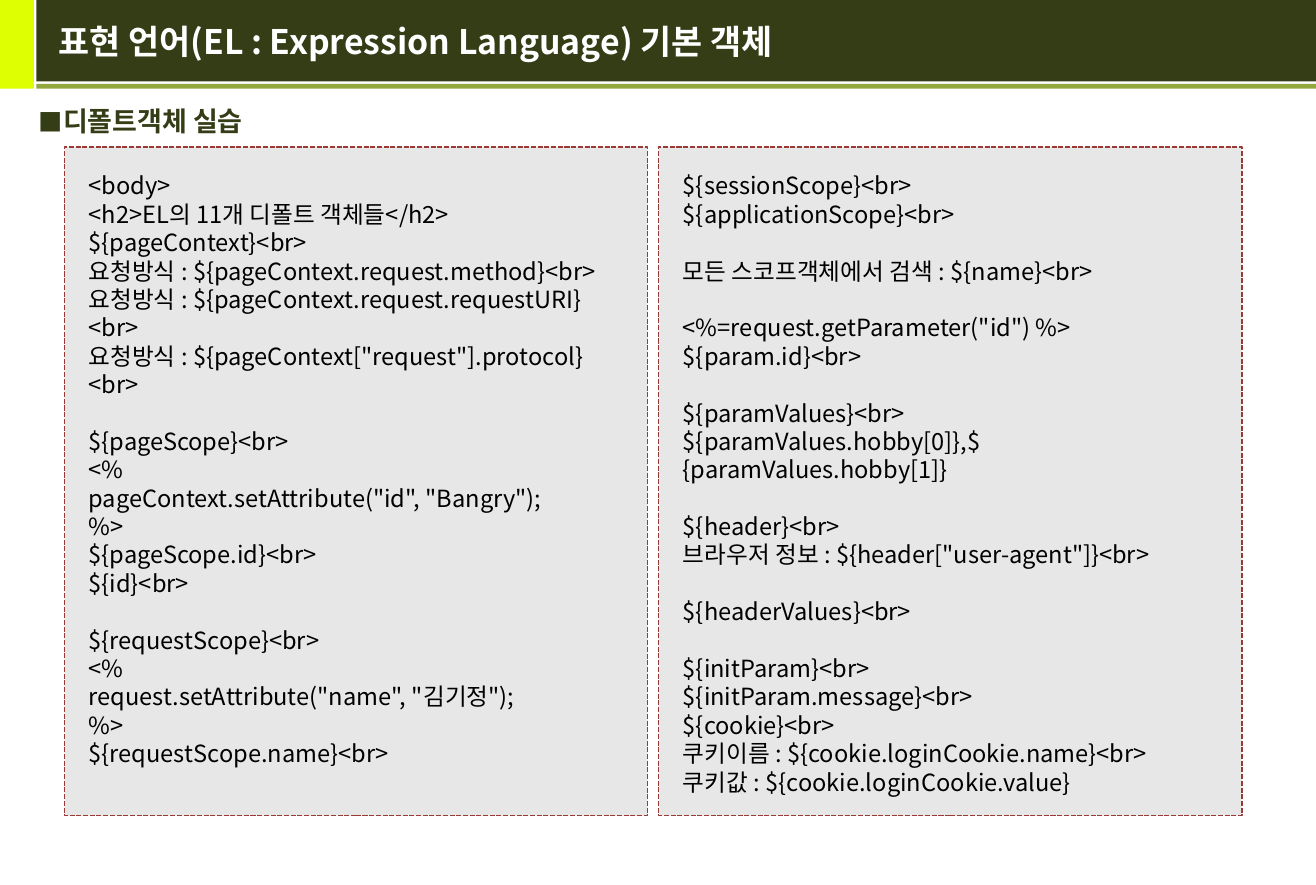
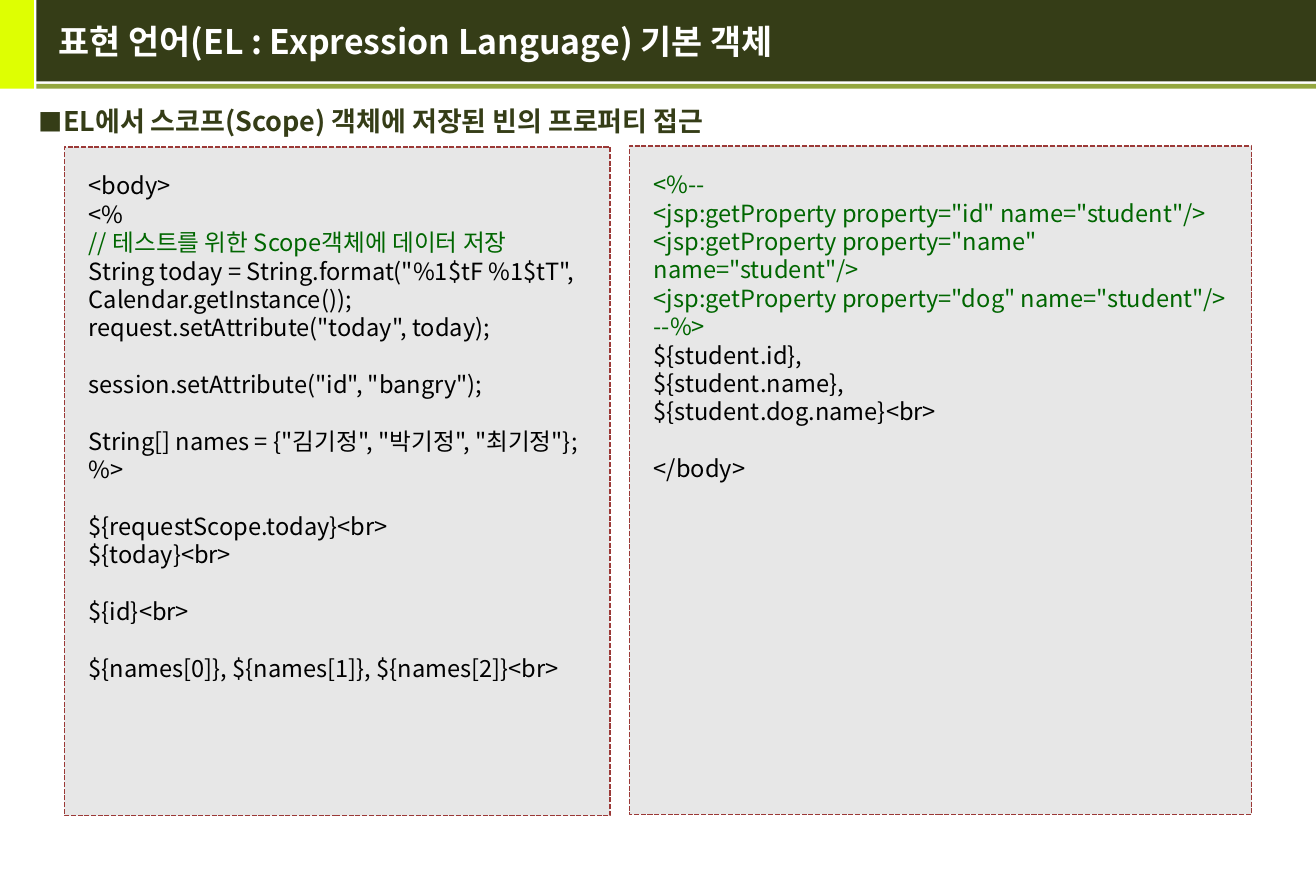
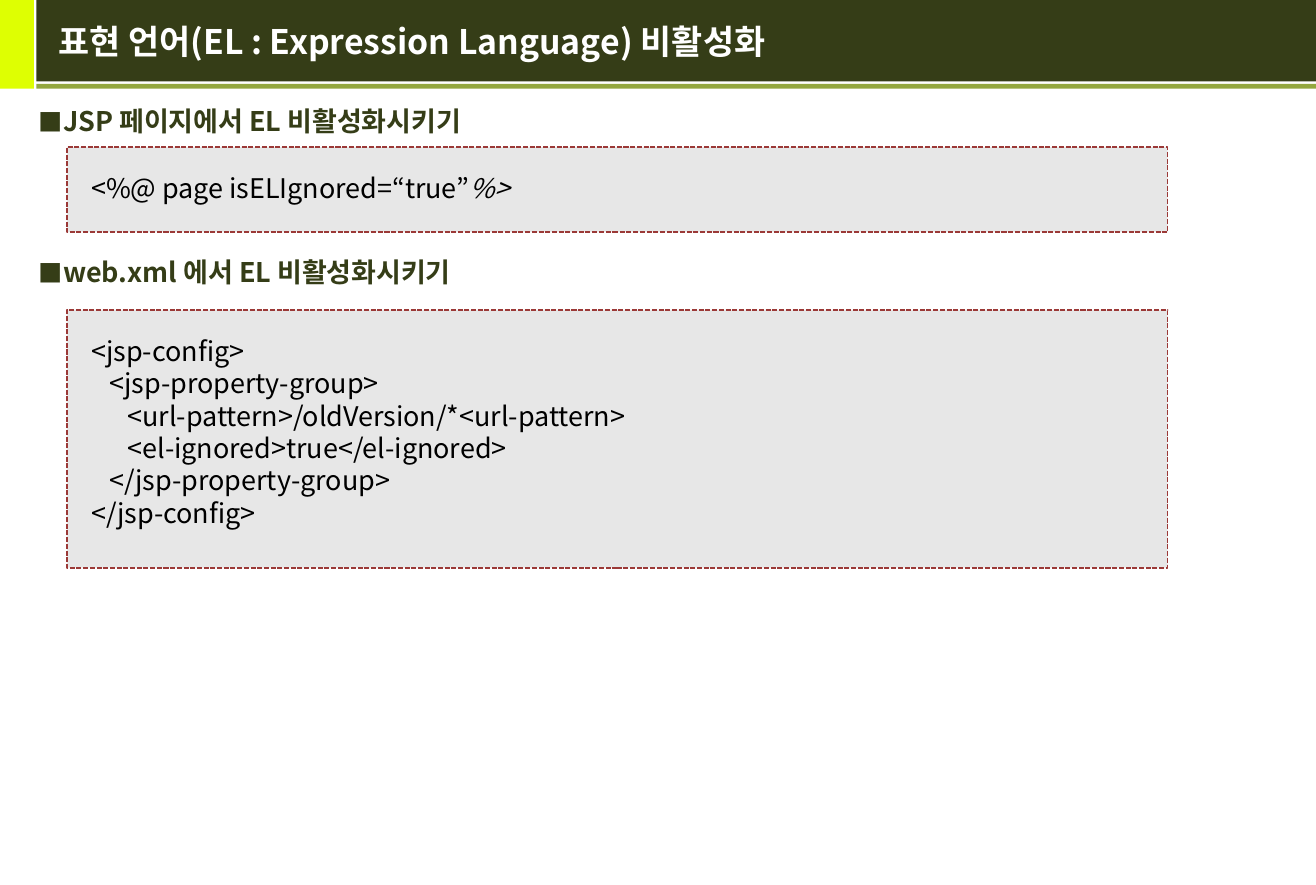
from dataclasses import dataclass

from lxml import etree
from pptx import Presentation
from pptx.dml.color import RGBColor
from pptx.enum.dml import MSO_LINE
from pptx.enum.shapes import MSO_SHAPE
from pptx.enum.text import MSO_ANCHOR, MSO_AUTO_SIZE, PP_ALIGN
from pptx.oxml.ns import qn
from pptx.util import Inches, Pt

RECT = MSO_SHAPE.RECTANGLE
DASH = MSO_LINE.SQUARE_DOT
LEFT, TOP, MIDDLE = PP_ALIGN.LEFT, MSO_ANCHOR.TOP, MSO_ANCHOR.MIDDLE
FIXED = MSO_AUTO_SIZE.NONE


@dataclass(frozen=True)
class Theme:
    font: str = "Noto Sans CJK KR"
    dark: str = "353D17"
    lime: str = "DEFF02"
    olive: str = "93A73F"
    white: str = "FFFFFF"
    black: str = "000000"
    green: str = "006600"
    gray: str = "808080"
    red: str = "9B3937"
    title: int = 20
    head: int = 16
    code: int = 14
    pitch: float = 1.2  # line height as a share of the type size
    lead: float = 0.2  # space above a heading, same measure


THEME = Theme()


@dataclass(frozen=True)
class Box:
    x: float
    y: float
    w: float
    h: float


@dataclass(frozen=True)
class Band:
    box: Box
    color: str


@dataclass(frozen=True)
class Head:
    text: str
    skip: int = 0  # heading lines left free above


@dataclass(frozen=True)
class Panel:
    box: Box
    code: str  # an empty line opens a gap, three spaces indent one level
    size: int = THEME.code
    notes: range = range(0)  # lines shown as comments
    slant: str = ""  # italic end of the last line


@dataclass(frozen=True)
class Page:
    title: str
    heads: tuple[Head, ...]
    panels: tuple[Panel, ...]


TITLE = Box(0.38, 0, 10.32, 0.68)
BODY = Box(0.22, 0.81, 10.47, 6.22)
BANDS = (
    Band(Box(0, 0, 0.28, 0.73), THEME.lime),
    Band(Box(0.3, 0, 10.53, 0.67), THEME.dark),
    Band(Box(0.3, 0.69, 10.53, 0.04), THEME.olive),
)
INSET = 0.2
STEP = 0.15
TOPIC = "표현 언어(EL : Expression Language) "

PAGES = (
    Page(TOPIC + "기본 객체", (Head("디폴트객체 실습"),), (
        Panel(Box(0.53, 1.21, 4.8, 5.5), """\
<body>
<h2>EL의 11개 디폴트 객체들</h2>
${pageContext}<br>
요청방식 : ${pageContext.request.method}<br>
요청방식 : ${pageContext.request.requestURI}<br>
요청방식 : ${pageContext["request"].protocol}<br>

${pageScope}<br>
<%
pageContext.setAttribute("id", "Bangry");
%>
${pageScope.id}<br>
${id}<br>

${requestScope}<br>
<%
request.setAttribute("name", "김기정");
%>
${requestScope.name}<br>"""),
        Panel(Box(5.42, 1.21, 4.8, 5.5), """\
${sessionScope}<br>
${applicationScope}<br>

모든 스코프객체에서 검색 : ${name}<br>

<%=request.getParameter("id") %>
${param.id}<br>

${paramValues}<br>
${paramValues.hobby[0]},${paramValues.hobby[1]}

${header}<br>
브라우저 정보 : ${header["user-agent"]}<br>

${headerValues}<br>

${initParam}<br>
${initParam.message}<br>
${cookie}<br>
쿠키이름 : ${cookie.loginCookie.name}<br>
쿠키값 : ${cookie.loginCookie.value}"""),
    )),
    Page(TOPIC + "기본 객체", (Head("EL에서 스코프(Scope) 객체에 저장된 빈의 프로퍼티 접근"),), (
        Panel(Box(0.53, 1.21, 4.49, 5.5), """\
<body>
<%
// 테스트를 위한 Scope객체에 데이터 저장
String today = String.format("%1$tF %1$tT", Calendar.getInstance());
request.setAttribute("today", today);

session.setAttribute("id", "bangry");

String[] names = {"김기정", "박기정", "최기정"};
%>

${requestScope.today}<br>
${today}<br>

${id}<br>

${names[0]}, ${names[1]}, ${names[2]}<br>""", notes=range(2, 3)),
        Panel(Box(5.18, 1.2, 5.12, 5.5), """\
<%--
<jsp:getProperty property="id" name="student"/>
<jsp:getProperty property="name" name="student"/>
<jsp:getProperty property="dog" name="student"/>
--%>
${student.id},
${student.name},
${student.dog.name}<br>

</body>""", notes=range(5)),
    )),
    Page(TOPIC + "비활성화", (
        Head("JSP 페이지에서 EL 비활성화시키기"),
        Head("web.xml 에서 EL 비활성화시키기", skip=3),
    ), (
        Panel(Box(0.55, 1.21, 9.06, 0.7), "<%@ page isELIgnored=“true”",
              size=THEME.head, slant="%>"),
        Panel(Box(0.55, 2.55, 9.06, 2.12), """\
<jsp-config>
   <jsp-property-group>
      <url-pattern>/oldVersion/*<url-pattern>
      <el-ignored>true</el-ignored>
   </jsp-property-group>
</jsp-config>""", size=THEME.head),
    )),
)


def place(shape, box: Box) -> None:
    shape.left, shape.top = Inches(box.x), Inches(box.y)
    shape.width, shape.height = Inches(box.w), Inches(box.h)


def add_rect(slide, box: Box, color: str):
    rect = slide.shapes.add_shape(
        RECT, Inches(box.x), Inches(box.y), Inches(box.w), Inches(box.h))
    rect.shadow.inherit = False
    rect.fill.solid()
    rect.fill.fore_color.rgb = RGBColor.from_string(color)
    rect.line.fill.background()
    return rect


def add_run(para, text: str, size: int, color: str,
            bold: bool = False, slant: bool = False) -> None:
    run = para.add_run()
    run.text = text
    font = run.font
    font.name, font.size = THEME.font, Pt(size)
    font.bold, font.italic = bold, slant
    font.color.rgb = RGBColor.from_string(color)
    # The Korean letters need the East Asian face as well
    east = etree.SubElement(font._element, qn("a:ea"))
    east.set("typeface", THEME.font)


def next_para(frame, first: bool):
    para = frame.paragraphs[0] if first else frame.add_paragraph()
    para.alignment = LEFT
    return para


def indent(para, left: float, hang: float = 0):
    props = para._p.get_or_add_pPr()
    props.set("marL", str(Inches(left)))
    props.set("indent", str(Inches(-hang)))
    return props


def add_bullet(para) -> None:
    props = indent(para, 0.2, 0.2)
    color = etree.SubElement(props, qn("a:buClr"))
    etree.SubElement(color, qn("a:srgbClr")).set("val", THEME.dark)
    etree.SubElement(props, qn("a:buSzPct")).set("val", "90000")
    etree.SubElement(props, qn("a:buFont")).set("typeface", THEME.font)
    etree.SubElement(props, qn("a:buChar")).set("char", "■")


def set_layout(deck, layout) -> None:
    """Give the layout its frames and bands."""
    deck_title, body, *rest = layout.placeholders
    for spare in rest:
        layout.shapes.element.remove(spare.element)
    place(deck_title, TITLE)
    place(body, BODY)
    # Bands are drawn on a slide, then moved behind the layout's frames
    slide = deck.slides[0]
    for spot, band in enumerate(BANDS, start=2):
        rect = add_rect(slide, band.box, band.color)
        layout.shapes.element.insert(spot, rect.element)


def fill_title(shape, text: str) -> None:
    frame = shape.text_frame
    frame.auto_size, frame.vertical_anchor = FIXED, MIDDLE
    add_run(next_para(frame, True), text, THEME.title, THEME.white, bold=True)


def fill_body(shape, heads: tuple[Head, ...]) -> None:
    frame = shape.text_frame
    frame.auto_size, frame.vertical_anchor = FIXED, TOP
    line, lead = THEME.head * THEME.pitch, THEME.head * THEME.lead
    for i, head in enumerate(heads):
        para = next_para(frame, i == 0)
        para.line_spacing = Pt(line)
        para.space_before = Pt(lead + head.skip * (line + lead))
        add_bullet(para)
        add_run(para, head.text, THEME.head, THEME.dark, bold=True)


def add_panel(slide, panel: Panel) -> None:
    rect = add_rect(slide, panel.box, THEME.gray)
    tint = rect.fill._xPr.find(qn("a:solidFill"))[0]
    etree.SubElement(tint, qn("a:alpha")).set("val", "19000")
    rect.line.color.rgb = RGBColor.from_string(THEME.red)
    rect.line.width, rect.line.dash_style = Pt(1), DASH

    frame = rect.text_frame
    frame.word_wrap, frame.vertical_anchor = True, TOP
    frame.margin_left = frame.margin_right = Inches(INSET)
    frame.margin_top = frame.margin_bottom = Inches(INSET)
    pitch, gap = panel.size * THEME.pitch, 0
    for i, line in enumerate(panel.code.split("\n")):
        if not line:
            gap += 1
            continue
        para = next_para(frame, i == 0)
        para.line_spacing, para.space_before = Pt(pitch), Pt(gap * pitch)
        gap = 0
        text = line.lstrip()
        indent(para, (len(line) - len(text)) // 3 * STEP)
        color = THEME.green if i in panel.notes else THEME.black
        add_run(para, text, panel.size, color)
    if panel.slant:
        add_run(para, panel.slant, panel.size, THEME.black, slant=True)


def main() -> None:
    deck = Presentation()
    deck.slide_width, deck.slide_height = Inches(10.83), Inches(7.28)
    layout = deck.slide_layouts[1]
    slides = [deck.slides.add_slide(layout) for _ in PAGES]
    set_layout(deck, layout)
    for slide, page in zip(slides, PAGES):
        fill_title(slide.shapes.title, page.title)
        fill_body(slide.placeholders[1], page.heads)
        for panel in page.panels:
            add_panel(slide, panel)
    deck.save("out.pptx")


if __name__ == "__main__":
    main()
